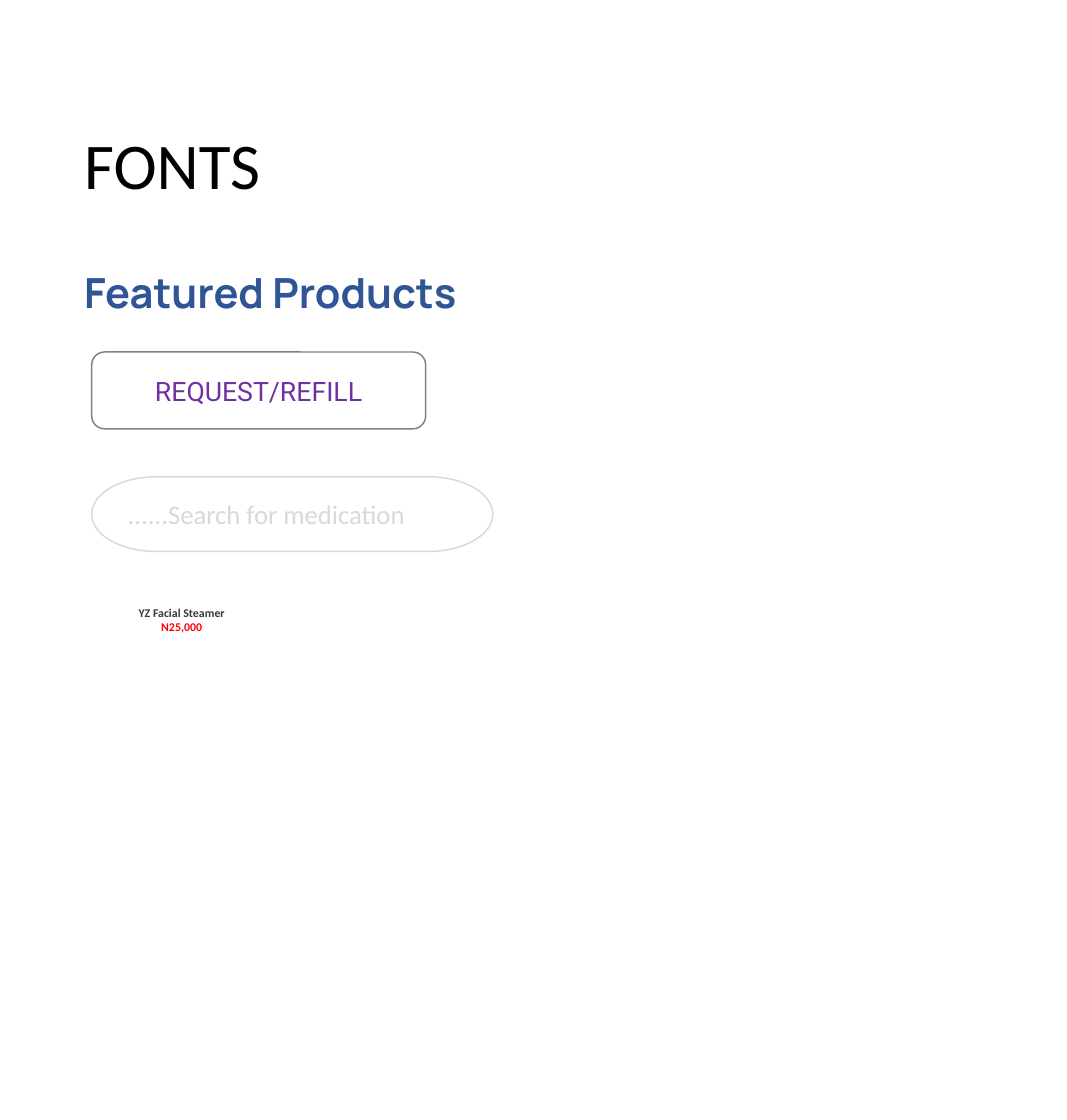
from dataclasses import dataclass

from pptx import Presentation
from pptx.dml.color import RGBColor as RGB
from pptx.enum.shapes import MSO_SHAPE as SHAPE
from pptx.enum.text import MSO_ANCHOR as ANCHOR, MSO_AUTO_SIZE as AUTO, PP_ALIGN as ALIGN
from pptx.util import Inches, Pt


@dataclass(frozen=True)
class TextStyle:
    font: str
    size: int
    color: str
    bold: bool = False
    align: ALIGN = ALIGN.LEFT


@dataclass(frozen=True)
class Theme:
    paper: str = "FFFFFF"
    button_line: str = "808080"
    search_line: str = "D9D9D9"
    title: TextStyle = TextStyle("Calibri", 44, "000000")
    heading: TextStyle = TextStyle("Manrope", 28, "2F5597", True)
    button: TextStyle = TextStyle("Roboto", 18, "7030A0", align=ALIGN.CENTER)
    search: TextStyle = TextStyle("Calibri", 18, "D9D9D9")
    product: TextStyle = TextStyle("Calibri", 8, "3B3838", True)
    price: TextStyle = TextStyle("Calibri", 8, "FF0000", True, ALIGN.CENTER)


class SlideBuilder:
    def __init__(self, slide, theme):
        self.slide = slide
        self.theme = theme

    def set_lines(self, tf, lines):
        for i, (text, style) in enumerate(lines):
            p = tf.add_paragraph() if i else tf.paragraphs[0]
            p.text = text
            p.alignment = style.align
            p.font.name = style.font
            p.font.size = Pt(style.size)
            p.font.bold = style.bold
            p.font.color.rgb = RGB.from_string(style.color)

    def title(self, box, text):
        tf = self.slide.shapes.add_textbox(*map(Inches, box)).text_frame
        tf.word_wrap = True
        tf.vertical_anchor = ANCHOR.MIDDLE
        self.set_lines(tf, [(text, self.theme.title)])
        tf.paragraphs[0].line_spacing = 0.9

    def label(self, box, lines):
        tf = self.slide.shapes.add_textbox(*map(Inches, box)).text_frame
        tf.word_wrap = False
        tf.auto_size = AUTO.SHAPE_TO_FIT_TEXT
        self.set_lines(tf, lines)

    def field(self, kind, box, line, text, style, indent=0.1):
        sp = self.slide.shapes.add_shape(kind, *map(Inches, box))
        sp.shadow.inherit = False
        sp.fill.solid()
        sp.fill.fore_color.rgb = RGB.from_string(self.theme.paper)
        sp.line.color.rgb = RGB.from_string(line)
        sp.line.width = Pt(1)
        tf = sp.text_frame
        tf.word_wrap = True
        tf.margin_left = Inches(indent)
        tf.vertical_anchor = ANCHOR.MIDDLE
        self.set_lines(tf, [(text, style)])


def main():
    prs = Presentation()
    prs.slide_width, prs.slide_height = Inches(10), Inches(10.5)
    theme = Theme()
    s = SlideBuilder(prs.slides.add_slide(prs.slide_layouts[6]), theme)

    s.title((0.69, 0.56, 8.62, 2.03), "FONTS")
    s.label((0.69, 2.45, 3.93, 0.57), [("Featured Products", theme.heading)])
    s.field(SHAPE.ROUNDED_RECTANGLE, (0.86, 3.3, 3.13, 0.72),
            theme.button_line, "REQUEST/REFILL", theme.button)
    s.field(SHAPE.FLOWCHART_TERMINATOR, (0.86, 4.47, 3.76, 0.7),
            theme.search_line, "......Search for medication", theme.search, indent=0.16)
    s.label((1.2, 5.63, 1.02, 0.37),
            [("YZ Facial Steamer", theme.product), ("N25,000", theme.price)])

    prs.save("out.pptx")


if __name__ == "__main__":
    main()
